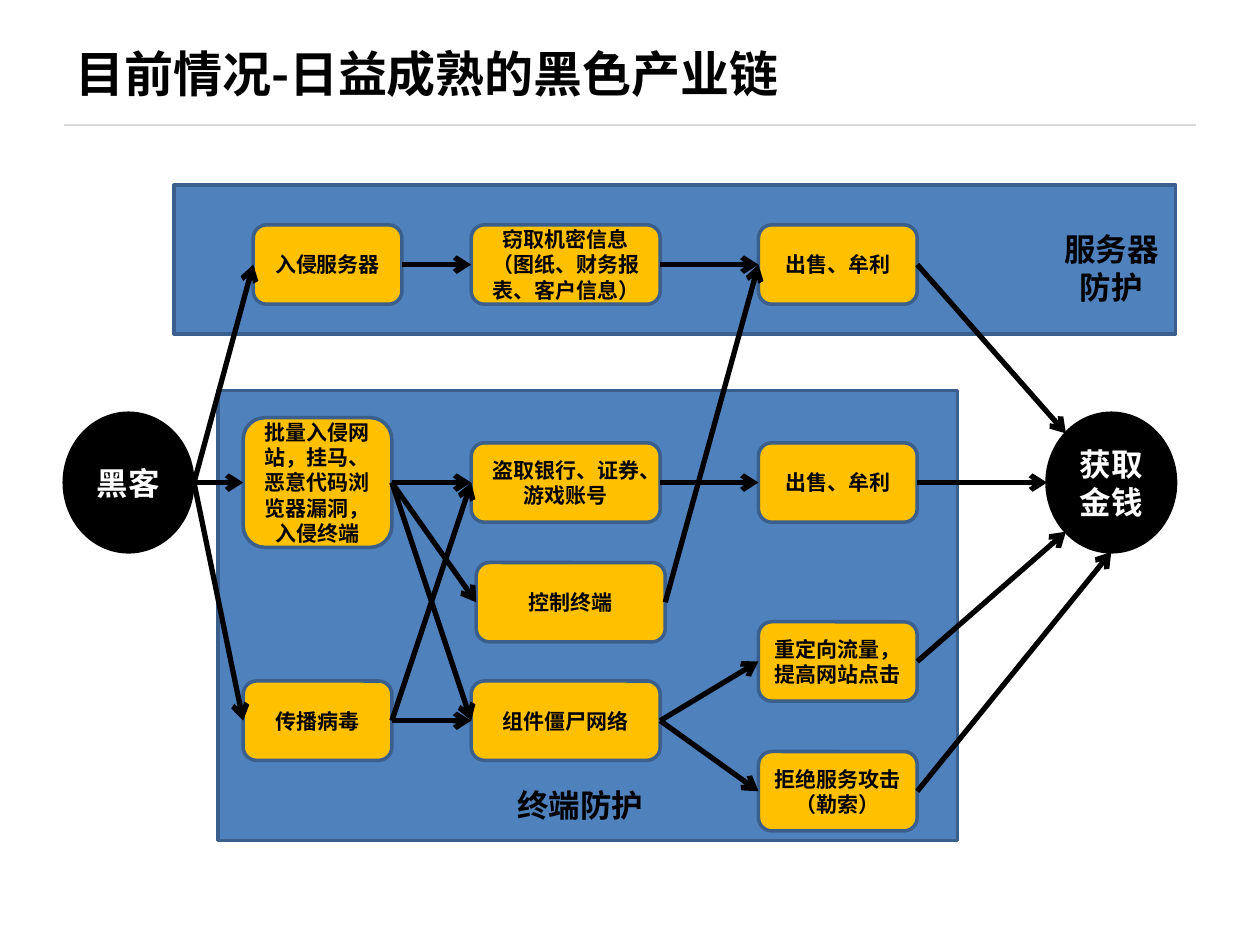
import pptx
import pptx.util
import pptx.dml.color
import pptx.enum.shapes
import pptx.enum.text
import pptx.oxml
import pptx.oxml.ns

Inches = pptx.util.Inches
Shapes = pptx.enum.shapes.MSO_SHAPE
Align = pptx.enum.text.PP_ALIGN
Anchor = pptx.enum.text.MSO_ANCHOR

COLORS = {
    "panel": "4F81BD",
    "border": "3A5F8C",
    "step": "FFC000",
    "ink": "000000",
    "light": "FFFFFF",
    "rule": "D9D9D9",
}
CJK_FONT = "Noto Sans CJK SC"
LEFT, RIGHT = 1, 3


def color(name):
    return pptx.dml.color.RGBColor.from_string(COLORS[name])


def apply(target, values):
    for name, value in values.items():
        setattr(target, name, value)


class Diagram:
    def __init__(self, page):
        self.page = page

    def add_text(self, shape, text, size, ink="ink", font="Calibri", align=Align.CENTER, anchor=Anchor.MIDDLE):
        frame = shape.text_frame
        apply(frame, {"word_wrap": True, "vertical_anchor": anchor})
        for index, line in enumerate(text.split("\n")):
            para = frame.add_paragraph() if index else frame.paragraphs[0]
            para.alignment = align
            span = para.add_run()
            span.text = line
            apply(span.font, {"name": font, "size": pptx.util.Pt(size), "bold": True})
            span.font.color.rgb = color(ink)
            east = pptx.oxml.parse_xml(
                f'<a:ea {pptx.oxml.ns.nsdecls("a")} typeface="{CJK_FONT}"/>')
            span.font._element.find(pptx.oxml.ns.qn("a:latin")).addnext(east)

    def label(self, text, place, size=18, **style):
        box = self.page.shapes.add_textbox(*map(Inches, place))
        self.add_text(box, text, size, anchor=Anchor.TOP, **style)

    def shape(self, kind, place, fill, border):
        shape = self.page.shapes.add_shape(kind, *map(Inches, place))
        shape.shadow.inherit = False
        shape.fill.solid()
        shape.fill.fore_color.rgb = color(fill)
        shape.line.color.rgb = color(border)
        shape.line.width = pptx.util.Pt(2)
        return shape

    def panel(self, place):
        self.shape(Shapes.RECTANGLE, place, "panel", "border")

    def step(self, text, left, middle, width, height=0.63):
        place = (left, middle - height / 2, width, height)
        box = self.shape(Shapes.ROUNDED_RECTANGLE, place, "step", "border")
        self.add_text(box, text, 12)
        return box

    def actor(self, text, left):
        circle = self.shape(Shapes.OVAL, (left, 3.28, 1.02, 1.1), "ink", "ink")
        self.add_text(circle, text, 18, ink="light")

    def line(self, start, end, ink, width):
        line = self.page.shapes.add_connector(
            pptx.enum.shapes.MSO_CONNECTOR.STRAIGHT, *map(Inches, start + end))
        line.line.color.rgb = color(ink)
        line.line.width = pptx.util.Pt(width)
        line._element.spPr.append(pptx.oxml.parse_xml(
            f'<a:effectLst {pptx.oxml.ns.nsdecls("a")}/>'))
        return line

    def arrow(self, source, target):
        free_start = source if isinstance(source, tuple) else (0, 0)
        free_end = target if isinstance(target, tuple) else (0, 0)
        arrow = self.line(free_start, free_end, "ink", 3)
        if source is not free_start:
            arrow.begin_connect(source, RIGHT)
        if target is not free_end:
            arrow.end_connect(target, LEFT)
        arrow.get_or_add_ln().append(pptx.oxml.parse_xml(
            f'<a:tailEnd {pptx.oxml.ns.nsdecls("a")} type="arrow"/>'))


def main():
    deck = pptx.Presentation()
    apply(deck, {"slide_width": Inches(10), "slide_height": Inches(7.5)})
    diagram = Diagram(deck.slides.add_slide(deck.slide_layouts[6]))

    diagram.line((0.51, 0.99), (9.49, 0.99), "rule", 1.25)
    diagram.label("目前情况-日益成熟的黑色产业链", (0.5, 0.3, 9, 0.77), 28,
                  font=CJK_FONT, align=Align.LEFT)
    diagram.panel((1.73, 3.1, 5.87, 3.57))
    diagram.label("终端防护", (3.58, 6.19, 2.05, 0.4), font="Arial")
    diagram.panel((1.38, 1.47, 7.95, 1.18))
    diagram.label("服务器防护", (8.31, 1.78, 1.02, 0.71), font="Arial")

    server_row, terminal_row, virus_row = 2.1, 3.83, 5.72
    entry, action, profit = (1.93, 1.18), (3.74, 1.5), (6.02, 1.26)
    steps = {}
    for name, text, (left, width), middle, height in [
        ("server", "入侵服务器", (2.01, 1.18), server_row, 0.63),
        ("secrets", "窃取机密信息（图纸、财务报表、客户信息）", action, server_row, 0.63),
        ("sell_secrets", "出售、牟利", profit, server_row, 0.63),
        ("websites", "批量入侵网站，挂马、恶意代码浏览器漏洞，入侵终端", entry, terminal_row, 1.03),
        ("accounts", "盗取银行、证券、游戏账号", action, terminal_row, 0.63),
        ("sell_accounts", "出售、牟利", profit, terminal_row, 0.63),
        ("control", "控制终端", (3.78, 1.5), 4.78, 0.63),
        ("virus", "传播病毒", entry, virus_row, 0.63),
        ("botnet", "组件僵尸网络", action, virus_row, 0.63),
        ("traffic", "重定向流量，提高网站点击", profit, 5.25, 0.63),
        ("denial", "拒绝服务攻击\n（勒索）", profit, 6.28, 0.63),
    ]:
        steps[name] = diagram.step(text, left, middle, width, height)

    diagram.actor("黑客", 0.51)
    diagram.actor("获取金钱", 8.31)

    for source, targets in {
        "server": ["secrets"],
        "secrets": ["sell_secrets"],
        "websites": ["accounts", "control", "botnet"],
        "virus": ["accounts", "botnet"],
        "accounts": ["sell_accounts"],
        "control": ["sell_secrets"],
        "botnet": ["traffic", "denial"],
    }.items():
        for target in targets:
            diagram.arrow(steps[source], steps[target])

    for target in ["server", "websites", "virus"]:
        diagram.arrow((1.54, 3.83), steps[target])
    for source, money_edge in {
        "sell_secrets": (8.46, 3.44),
        "sell_accounts": (8.31, 3.83),
        "traffic": (8.46, 4.22),
        "denial": (8.82, 4.38),
    }.items():
        diagram.arrow(steps[source], money_edge)

    deck.save("out.pptx")


if __name__ == "__main__":
    main()
